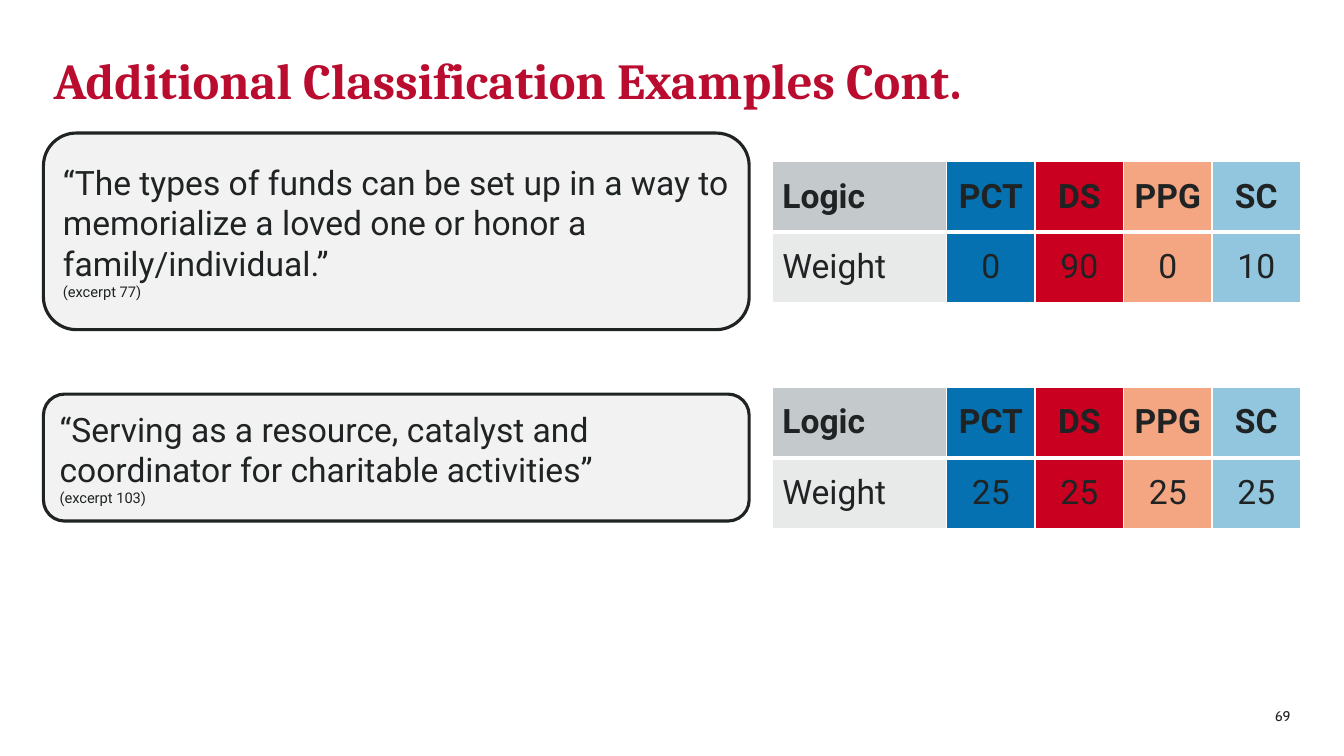
"""Build the slide of classification examples, with lengths as percentages of the slide."""
from dataclasses import dataclass
from typing import Any, NamedTuple

from lxml.etree import SubElement as Sub
from pptx import Presentation
from pptx.dml.color import RGBColor as Rgb
from pptx.enum.shapes import MSO_SHAPE as Kind
from pptx.enum.text import MSO_ANCHOR as Anchor, MSO_AUTO_SIZE as Fit, PP_ALIGN as Align
from pptx.oxml.ns import qn
from pptx.util import Inches, Pt


@dataclass(frozen=True)
class Theme:
    ink: str = "202324"
    title: str = "BA0C2F"
    panel: str = "F2F2F2"
    rule: str = "FFFFFF"
    heads: tuple = ("C4C9CB", "0571B0", "CA0020", "F4A582", "92C5DE")
    label: str = "E8EAEA"
    big: float = 36
    body: float = 24
    note: float = 10.5
    page: float = 10
    serif: str = "Cambria"
    sans: str = "Roboto"
    foot: str = "Cabin"
    thin: float = 1
    thick: float = 3
    edge: float = 2.25


class Area(NamedTuple):
    x: float
    y: float
    w: float
    h: float


class Case(NamedTuple):
    quote: str
    note: str
    box: Area
    grid: Area
    marks: tuple


THEME = Theme()
WIDE, HIGH = Inches(13.33), Inches(7.5)
LEFT, MID = 3.23, 57.46
BOX, GRID, ROWS = 52.51, 39.31, 18.67
LOGICS = ("Logic", "PCT", "DS", "PPG", "SC")
COLS = (33, 16.75, 16.75, 16.75, 16.75)
CASES = (
    Case("“The types of funds can be set up in a way to memorialize a loved one "
         "or honor a family/individual.”", "(excerpt 77)",
         Area(LEFT, 17.6, BOX, 26), Area(MID, 21.33, GRID, ROWS), (0, 90, 0, 10)),
    Case("“Serving as a resource, catalyst and coordinator for charitable activities”",
         "(excerpt 103)",
         Area(LEFT, 52.13, BOX, 16.8), Area(MID, 51.2, GRID, ROWS), (25, 25, 25, 25)),
)


def place(area: Area) -> tuple:
    return (round(WIDE * area.x / 100), round(HIGH * area.y / 100),
            round(WIDE * area.w / 100), round(HIGH * area.h / 100))


def apply(item: Any, **looks: Any) -> None:
    for name, value in looks.items():
        setattr(item, name, value)


def write(para: Any, text: str, size: float, face: str = THEME.sans,
          tint: str = THEME.ink, bold: bool = False, align: Any = Align.LEFT) -> None:
    run = para.add_run()
    run.text = text
    para.alignment = align
    apply(run.font, size=Pt(size), name=face, bold=bold)
    run.font.color.rgb = Rgb.from_string(tint)


def paint(item: Any, tint: str) -> None:
    item.fill.solid()
    item.fill.fore_color.rgb = Rgb.from_string(tint)


def add_title(slide: Any) -> None:
    head = slide.shapes.title
    apply(head, **dict(zip(("left", "top", "width", "height"),
                           place(Area(LEFT, 6.8, 93.55, 12.27)))))
    apply(head.text_frame, vertical_anchor=Anchor.TOP, word_wrap=True, auto_size=Fit.NONE)
    para = head.text_frame.paragraphs[0]
    para.line_spacing = 0.9
    write(para, "Additional Classification Examples Cont.", THEME.big,
          THEME.serif, THEME.title, True)


def add_page(slide: Any) -> None:
    frame = slide.shapes.add_textbox(*place(Area(92.72, 92, 4.05, 5.33))).text_frame
    apply(frame, vertical_anchor=Anchor.MIDDLE, word_wrap=True)
    write(frame.paragraphs[0], "69", THEME.page, THEME.foot, align=Align.RIGHT)


def add_quote(slide: Any, case: Case) -> None:
    box = slide.shapes.add_shape(Kind.ROUNDED_RECTANGLE, *place(case.box))
    box.shadow.inherit = False
    paint(box, THEME.panel)
    box.line.color.rgb = Rgb.from_string(THEME.ink)
    box.line.width = Pt(THEME.edge)
    frame = box.text_frame
    apply(frame, vertical_anchor=Anchor.MIDDLE, word_wrap=True)
    write(frame.paragraphs[0], case.quote, THEME.body)
    write(frame.add_paragraph(), case.note, THEME.note)


def add_edges(cell: Any, top: float, base: float) -> None:
    props = cell._tc.get_or_add_tcPr()
    sides = {"a:lnL": THEME.thin, "a:lnR": THEME.thin, "a:lnT": top, "a:lnB": base}
    for tag, size in sides.items():
        line = Sub(props, qn(tag), w=str(Pt(size)))
        Sub(Sub(line, qn("a:solidFill")), qn("a:srgbClr"), val=THEME.rule)


def add_grid(slide: Any, case: Case) -> None:
    rows = (LOGICS, ("Weight", *case.marks))
    tints = (THEME.heads, (THEME.label, *THEME.heads[1:]))
    edges = ((THEME.thin, THEME.thick), (THEME.thick, THEME.thin))
    spot = place(case.grid)
    table = slide.shapes.add_table(len(rows), len(COLS), *spot).table
    table.horz_banding = False
    for col, share in zip(table.columns, COLS):
        col.width = round(spot[2] * share / 100)
    for r, row in enumerate(rows):
        for c, value in enumerate(row):
            cell = table.cell(r, c)
            cell.vertical_anchor = Anchor.MIDDLE
            add_edges(cell, *edges[r])
            paint(cell, tints[r][c])
            write(cell.text_frame.paragraphs[0], str(value), THEME.body,
                  bold=r == 0, align=Align.CENTER if c else Align.LEFT)


def main() -> None:
    deck = Presentation()
    apply(deck, slide_width=WIDE, slide_height=HIGH)
    slide = deck.slides.add_slide(deck.slide_layouts.get_by_name("Title Only"))
    add_title(slide)
    add_page(slide)
    for case in CASES:
        add_quote(slide, case)
        add_grid(slide, case)
    deck.save("out.pptx")


if __name__ == "__main__":
    main()
